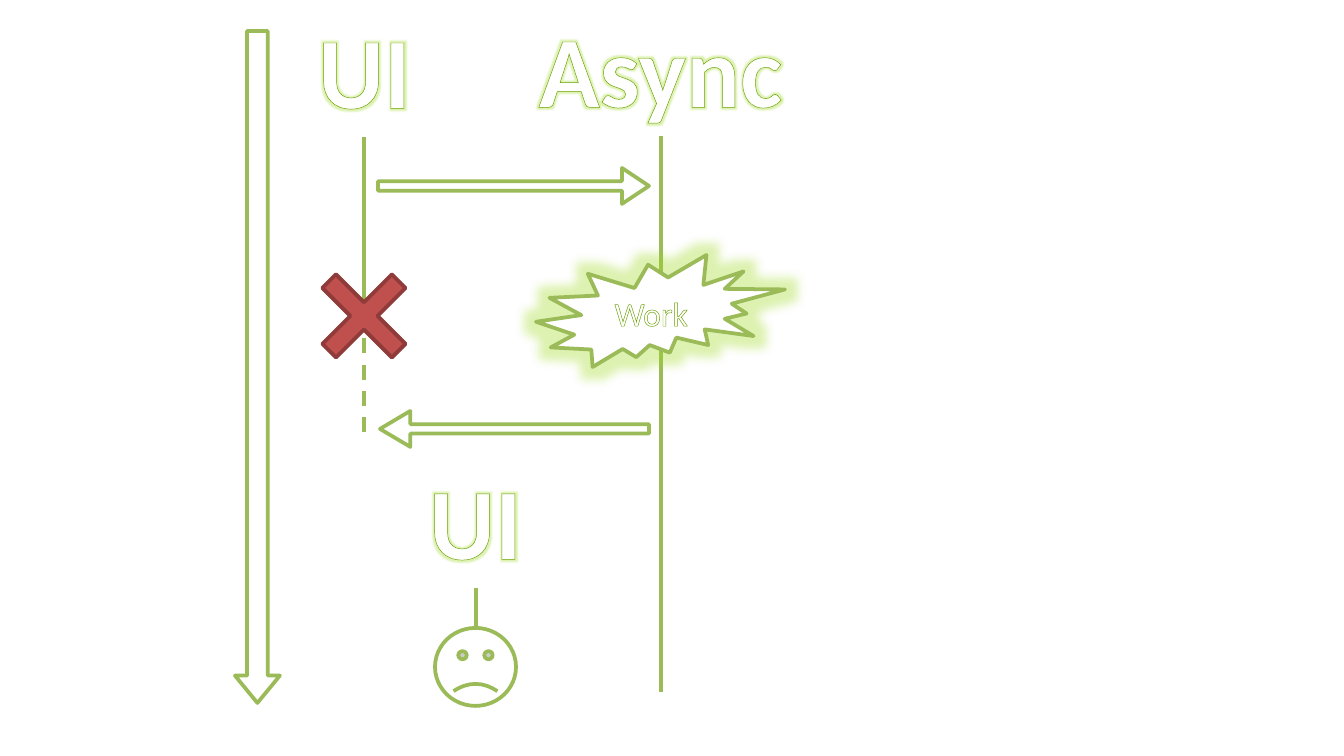
"""Build a sequence diagram of UI and Async lifelines with a blocked UI thread."""
from lxml.etree import SubElement
from pptx import Presentation
from pptx.dml.color import RGBColor
from pptx.enum.dml import MSO_LINE as Dash
from pptx.enum.shapes import MSO_CONNECTOR, MSO_SHAPE as Preset
from pptx.enum.text import MSO_ANCHOR, MSO_AUTO_SIZE, PP_ALIGN
from pptx.oxml.ns import qn
from pptx.util import Pt

PIXEL = 914400 / 134.4
WHITE = RGBColor(0xFF, 0xFF, 0xFF)
GREEN = RGBColor(0x9B, 0xBB, 0x59)
RED = RGBColor(0xC0, 0x50, 0x4D)
DARK_RED = RGBColor(0x8E, 0x3B, 0x39)
OUTLINE = RGBColor(0x69, 0x9F, 0x00)
GLOW = RGBColor(0x9E, 0xDA, 0x1D)

LIFELINES = [
    (364, 312, 433, Dash.DASH),
    (364, 75, 316, None),
    (661, 75, 692, None),
]
HEADINGS = [("UI", (304, 1, 121, 136)), ("Async", (524, 0, 273, 136))]
TIME_ARROW = (Preset.DOWN_ARROW, (235, 31, 45, 672), (0.46, 0.608))
CALL_ARROW = (Preset.RIGHT_ARROW, (378, 168, 271, 36), (0.263, 0.751))
WORK_BURST = (Preset.EXPLOSION2, (536, 255, 249, 112), ())
BLOCKED_CROSS = (Preset.MATH_MULTIPLY, (297, 249, 134, 134), (0.144,))
LATE_LIFELINE = (476, 474, 684, None)
LATE_HEADING = ("UI", (415, 452, 121, 136))
SAD_FACE = (Preset.SMILEY_FACE, (435, 628, 81, 78), (-0.047,))
RETURN_ARROW = (Preset.LEFT_ARROW, (380, 411, 269, 36), (0.264, 0.843))

HEADING_FONT = {"name": "Calibri", "size": Pt(54), "bold": True}
WORK_FONT = {"name": "Calibri", "size": Pt(18), "bold": False}
HEADING_FRAME = {"word_wrap": False, "auto_size": MSO_AUTO_SIZE.SHAPE_TO_FIT_TEXT}
WORK_FRAME = {"word_wrap": True, "vertical_anchor": MSO_ANCHOR.MIDDLE}


def emu(*pixels):
    return [round(value * PIXEL) for value in pixels]


def apply(target, values):
    for name, value in values.items():
        setattr(target, name, value)


def add_color(parent, tag, color, alpha=None):
    element = SubElement(SubElement(parent, qn(tag)), qn("a:srgbClr"), val=str(color))
    if alpha:
        SubElement(element, qn("a:alpha"), val=str(alpha))
    return element.getparent()


def add_glow(parent, radius, alpha):
    effects = parent.find(qn("a:effectLst"))
    if effects is None:
        effects = SubElement(parent, qn("a:effectLst"))
    add_color(effects, "a:glow", GLOW, alpha).set("rad", str(Pt(radius)))


def add_lifeline(x, top, bottom, dash):
    line = slide.shapes.add_connector(MSO_CONNECTOR.STRAIGHT, *emu(x, top, x, bottom))
    line.line.color.rgb = GREEN
    line.line.width = Pt(2)
    if dash:
        line.line.dash_style = dash
    SubElement(line._element.spPr, qn("a:effectLst"))


def add_preset(preset, box, adjustments, fill=WHITE, border=GREEN):
    shape = slide.shapes.add_shape(preset, *emu(*box))
    for index, value in enumerate(adjustments):
        shape.adjustments[index] = value
    shape.fill.solid()
    shape.fill.fore_color.rgb = fill
    shape.line.color.rgb = border
    shape.line.width = Pt(2)
    shape.shadow.inherit = False
    return shape


def write_text(shape, text, font, frame, outline):
    apply(shape.text_frame, frame)
    paragraph = shape.text_frame.paragraphs[0]
    paragraph.alignment = PP_ALIGN.CENTER
    run = paragraph.add_run()
    run.text = text
    apply(run.font, font)
    run.font.color.rgb = WHITE
    properties = run._r.get_or_add_rPr()
    border = SubElement(properties, qn("a:ln"), w=str(Pt(outline)))
    add_color(border, "a:solidFill", OUTLINE)
    properties.insert(0, border)
    return properties


def add_heading(text, box):
    shape = slide.shapes.add_textbox(*emu(*box))
    properties = write_text(shape, text, HEADING_FONT, HEADING_FRAME, 1)
    effects = SubElement(properties, qn("a:effectLst"))
    properties.insert(2, effects)
    add_glow(properties, 3.6, 35000)
    shape.fill.solid()
    shape.fill.fore_color.rgb = WHITE


presentation = Presentation()
presentation.slide_width, presentation.slide_height = emu(1344, 756)
slide = presentation.slides.add_slide(presentation.slide_layouts[6])

for lifeline in LIFELINES:
    add_lifeline(*lifeline)
add_preset(*TIME_ARROW)
for heading in HEADINGS:
    add_heading(*heading)
add_preset(*CALL_ARROW)
burst = add_preset(*WORK_BURST)
add_glow(burst._element.spPr, 11, 35000)
write_text(burst, "Work", WORK_FONT, WORK_FRAME, 0.75)
add_preset(*BLOCKED_CROSS, fill=RED, border=DARK_RED)
add_lifeline(*LATE_LIFELINE)
add_heading(*LATE_HEADING)
add_preset(*SAD_FACE)
add_preset(*RETURN_ARROW)

presentation.save("out.pptx")
